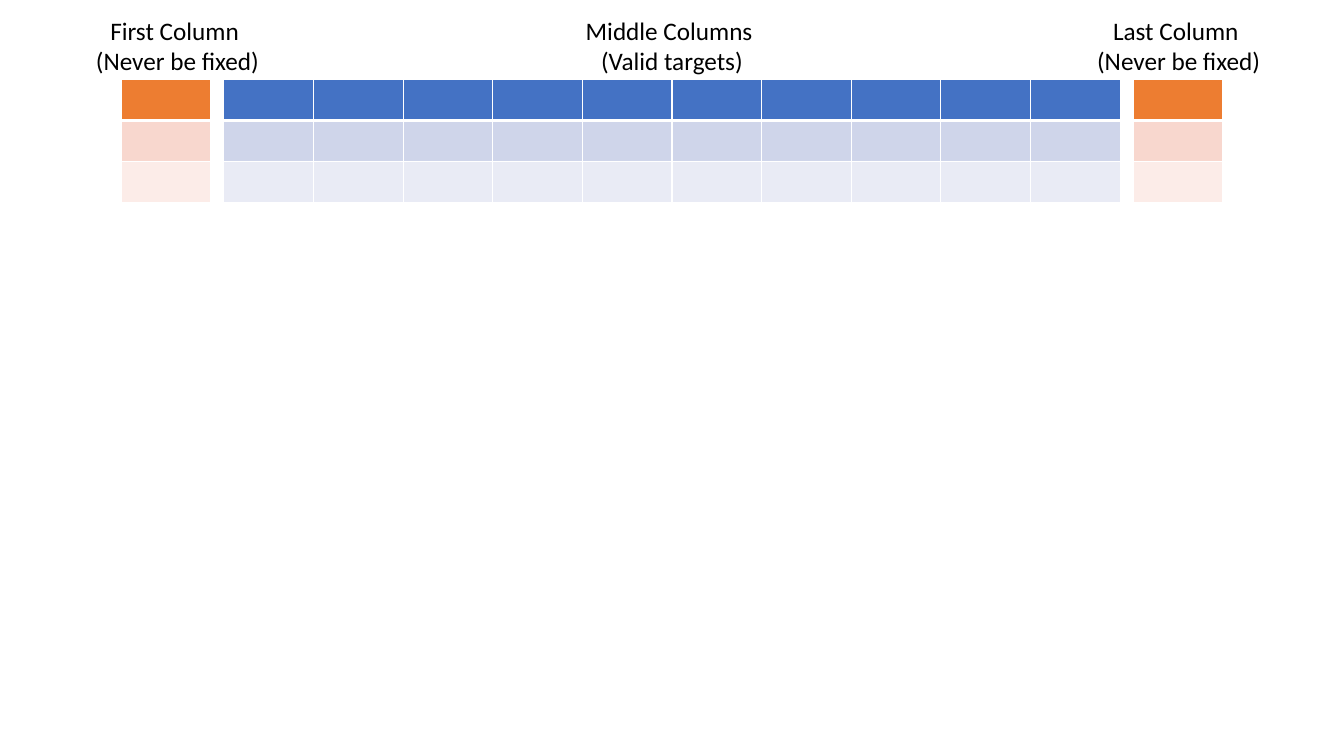
from dataclasses import dataclass

from lxml import etree
from pptx import Presentation
from pptx.dml.color import RGBColor
from pptx.enum.text import MSO_ANCHOR, MSO_AUTO_SIZE, PP_ALIGN
from pptx.oxml.ns import qn
from pptx.util import Inches, Pt

CENTER = PP_ALIGN.CENTER
TOP = MSO_ANCHOR.TOP
GROW = MSO_AUTO_SIZE.SHAPE_TO_FIT_TEXT


@dataclass(frozen=True)
class Theme:
    """Colours, font and sizes of the slide."""
    font: str = "Calibri"
    label_size: int = 18
    text: str = "000000"
    border: str = "FFFFFF"
    thin: int = 1
    thick: int = 3
    orange: tuple = ("ED7D31", "F8D7CE", "FCECE8")
    blue: tuple = ("4472C4", "CFD5EA", "E9EBF5")


theme = Theme()


def add_label(slide, text, left, width, size=theme.label_size, color=theme.text):
    """Add a centred text box with one paragraph per line of text."""
    box = slide.shapes.add_textbox(Inches(left), Inches(0.1), Inches(width), Inches(0.71))
    frame = box.text_frame
    frame.word_wrap = False
    frame.auto_size = GROW
    frame.vertical_anchor = TOP
    frame.text = text
    for para in frame.paragraphs:
        para.alignment = CENTER
        for span in para.runs:
            span.font.name = theme.font
            span.font.size = Pt(size)
            span.font.color.rgb = RGBColor.from_string(color)


def style_cell(cell, fill, top, bottom):
    """Give a cell its four borders, then its fill."""
    properties = cell._tc.get_or_add_tcPr()
    widths = {"a:lnL": theme.thin, "a:lnR": theme.thin, "a:lnT": top, "a:lnB": bottom}
    for side, width in widths.items():
        line = etree.SubElement(properties, qn(side), w=str(Pt(width)))
        solid = etree.SubElement(line, qn("a:solidFill"))
        etree.SubElement(solid, qn("a:srgbClr"), val=theme.border)
    cell.fill.solid()
    cell.fill.fore_color.rgb = RGBColor.from_string(fill)


deck = Presentation()
deck.slide_width = Inches(13.33)
deck.slide_height = Inches(7.5)
page = deck.slides.add_slide(deck.slide_layouts[6])

# Column groups: left, number of columns, fills from header down
TABLE_TOP, TABLE_HEIGHT, COLUMN_WIDTH = 0.79, 1.22, 0.889
column_groups = [
    (2.22, 10, theme.blue),
    (1.2, 1, theme.orange),
    (11.24, 1, theme.orange),
]
for left, column_count, fills in column_groups:
    table = page.shapes.add_table(
        len(fills), column_count, Inches(left), Inches(TABLE_TOP),
        Inches(COLUMN_WIDTH * column_count), Inches(TABLE_HEIGHT)).table
    for row, fill in enumerate(fills):
        top = theme.thick if row == 1 else theme.thin
        bottom = theme.thick if row == 0 else theme.thin
        for column in range(column_count):
            style_cell(table.cell(row, column), fill, top, bottom)

# Labels above the column groups
labels = [
    ("First Column \n(Never be fixed)", 0.84, 1.84),
    ("Last Column \n(Never be fixed)", 10.77, 1.84),
    ("Middle Columns \n(Valid targets)", 5.7, 1.93),
]
for text, left, width in labels:
    add_label(page, text, left, width)

deck.save("out.pptx")
